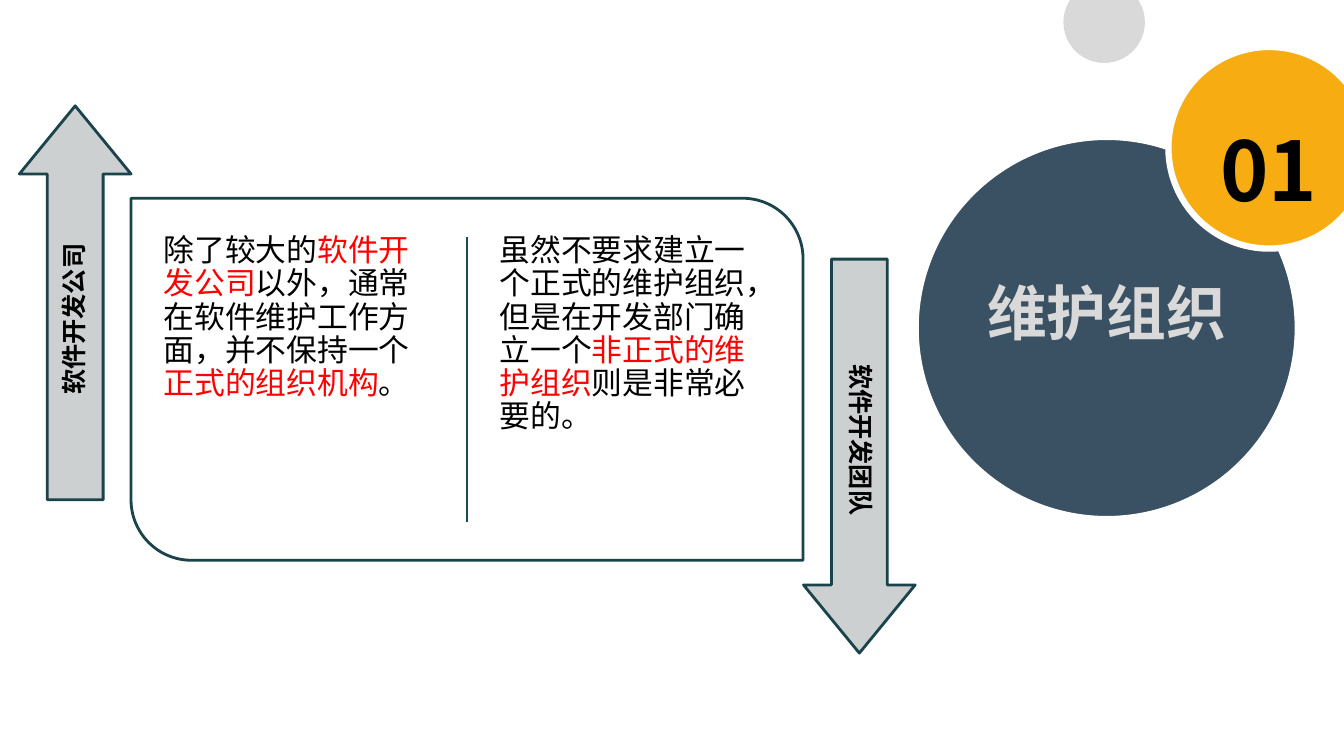
from dataclasses import dataclass

from lxml import etree
from pptx import Presentation
from pptx.dml.color import RGBColor
from pptx.enum.shapes import MSO_CONNECTOR, MSO_SHAPE
from pptx.enum.text import MSO_ANCHOR, MSO_AUTO_SIZE, PP_ALIGN
from pptx.oxml.ns import qn
from pptx.util import Inches, Pt

OVAL, ARROW = MSO_SHAPE.OVAL, MSO_SHAPE.RIGHT_ARROW
CARD = MSO_SHAPE.ROUND_2_DIAG_RECTANGLE
STRAIGHT = MSO_CONNECTOR.STRAIGHT
TOP, MIDDLE = MSO_ANCHOR.TOP, MSO_ANCHOR.MIDDLE
LEFT, CENTER = PP_ALIGN.LEFT, PP_ALIGN.CENTER
NO_FIT = MSO_AUTO_SIZE.NONE

FONT = "Noto Sans CJK SC"
COLORS = {
    "white": "FFFFFF", "black": "000000", "red": "FF0000",
    "light_gray": "D9D9D9", "arrow_gray": "CDD0D1",
    "navy": "3A5063", "amber": "F7AC12",
    "outline": "1A434B", "divider": "1D4A53",
}

# The slide is a grid of 160 columns by 90 rows of square cells
WIDTH, HEIGHT = Inches(13.333), Inches(7.5)
COLUMN, ROW = WIDTH / 160, HEIGHT / 90


@dataclass
class Box:
    column: float
    row: float
    columns: float
    rows: float

    def lengths(self) -> list[int]:
        return [round(self.column * COLUMN), round(self.row * ROW),
                round(self.columns * COLUMN), round(self.rows * ROW)]


@dataclass
class Circle:
    column: float
    row: float
    diameter: float
    fill: str
    line: str = ""


@dataclass
class Arrow:
    text: str
    column: float  # centre
    row: float  # centre
    rotation: int
    label_shift: float  # rows from the arrow's centre to the label's


@dataclass
class TextStyle:
    size: float
    bold: bool = False
    alignment: PP_ALIGN = LEFT
    anchor: MSO_ANCHOR = TOP
    spacing: float = 1.0
    margin: float = 0.07


Runs = list[tuple[str, str]]

CIRCLES = [
    Circle(126.6, -2.2, 9.7, "light_gray"),
    Circle(109, 16.3, 45.5, "navy", "white"),
    Circle(139.1, 5.6, 24, "amber", "white"),
]
ARROWS = [
    Arrow("软件开发公司", 8.95, 36.05, 270, 1.95),
    Arrow("软件开发团队", 102.3, 54.3, 90, -1.95),
]
PANELS: list[Runs] = [
    [("除了较大的", "black"), ("软件开发公司", "red"),
     ("以外，通常在软件维护工作方面，并不保持一个", "black"),
     ("正式的组织机构", "red"), ("。", "black")],
    [("虽然不要求建立一个正式的维护组织，但是在开发部门确立一个", "black"),
     ("非正式的维护组织", "red"), ("则是非常必要的。", "black")],
]
CARD_BOX = Box(15.6, 23.6, 80, 43.1)
TITLE_BOX = Box(109, 32, 45.5, 10.2)
NUMBER_BOX = Box(144.7, 9.4, 12.7, 16.6)

TITLE_STYLE = TextStyle(42.7, True, CENTER)
NUMBER_STYLE = TextStyle(58.7, True, CENTER, MIDDLE, 1.4, 0)
PANEL_STYLE = TextStyle(22, spacing=0.9, margin=0.09)
LABEL_STYLE = TextStyle(18, True, CENTER, MIDDLE, 0.9)


def color(name: str) -> RGBColor:
    return RGBColor.from_string(COLORS[name])


def set_values(target, values: dict) -> None:
    for name, value in values.items():
        setattr(target, name, value)


def place(shape, box: Box) -> None:
    set_values(shape, dict(zip(("left", "top", "width", "height"), box.lengths())))


def centred(column: float, row: float, columns: float, rows: float) -> Box:
    return Box(column - columns / 2, row - rows / 2, columns, rows)


def add_shape(slide, kind, box: Box, fill: str, line: str = "", weight: float = 2):
    shape = slide.shapes.add_shape(kind, *box.lengths())
    shape.shadow.inherit = False
    shape.fill.solid()
    shape.fill.fore_color.rgb = color(fill)
    if line:
        shape.line.color.rgb = color(line)
        shape.line.width = Pt(weight)
    else:
        shape.line.fill.background()
    return shape


def write(shape, runs: Runs, style: TextStyle) -> None:
    frame = shape.text_frame
    margin = Inches(style.margin)
    set_values(frame, {
        "word_wrap": True, "auto_size": NO_FIT, "vertical_anchor": style.anchor,
        "margin_left": margin, "margin_right": margin,
        "margin_top": margin, "margin_bottom": margin,
    })
    paragraph = frame.paragraphs[0]
    set_values(paragraph, {"alignment": style.alignment, "line_spacing": style.spacing})
    for text, color_name in runs:
        run = paragraph.add_run()
        run.text = text
        set_values(run.font, {"name": FONT, "size": Pt(style.size), "bold": style.bold})
        run.font.color.rgb = color(color_name)
        # East Asian typeface
        properties = run._r.get_or_add_rPr()
        etree.SubElement(properties, qn("a:ea")).set("typeface", FONT)


def add_text(slide, box: Box, runs: Runs, style: TextStyle):
    text_box = slide.shapes.add_textbox(*box.lengths())
    write(text_box, runs, style)
    return text_box


def add_divider(slide, column: float, first_row: float, last_row: float) -> None:
    x = round(column * COLUMN)
    divider = slide.shapes.add_connector(
        STRAIGHT, x, round(first_row * ROW), x, round(last_row * ROW))
    divider.line.color.rgb = color("divider")
    divider.line.width = Pt(2)
    etree.SubElement(divider.element.spPr, qn("a:effectLst"))


def add_arrow(slide, arrow: Arrow) -> None:
    shape = add_shape(slide, ARROW, centred(arrow.column, arrow.row, 46.9, 13.3),
                      "arrow_gray", "outline")
    shape.adjustments[0], shape.adjustments[1] = 0.5, 0.61
    label = add_text(slide, centred(arrow.column, arrow.row + arrow.label_shift, 43, 6.6),
                     [(arrow.text, "black")], LABEL_STYLE)
    for part in (shape, label):
        part.rotation = arrow.rotation


def main() -> None:
    presentation = Presentation()
    set_values(presentation, {"slide_width": WIDTH, "slide_height": HEIGHT})
    slide = presentation.slides.add_slide(presentation.slide_layouts.get_by_name("Title Only"))

    # Circles with the title and the section number
    for circle in CIRCLES:
        box = Box(circle.column, circle.row, circle.diameter, circle.diameter)
        add_shape(slide, OVAL, box, circle.fill, circle.line, 4.5)
    title = slide.shapes.title
    place(title, TITLE_BOX)
    write(title, [("维护组织", "light_gray")], TITLE_STYLE)
    title.element.getparent().append(title.element)  # in front of the circles
    add_text(slide, NUMBER_BOX, [("01", "black")], NUMBER_STYLE)

    # Card in two halves
    card = add_shape(slide, CARD, CARD_BOX, "white", "outline")
    card.adjustments[0], card.adjustments[1] = 0, 0.167
    half = CARD_BOX.columns / 2
    add_divider(slide, CARD_BOX.column + half, 28.2, 62.2)
    for index, runs in enumerate(PANELS):
        add_text(slide, Box(18.4 + index * half, 26.9, 34.7, 36.5), runs, PANEL_STYLE)

    # Arrows on both sides of the card
    for arrow in ARROWS:
        add_arrow(slide, arrow)

    presentation.save("out.pptx")


if __name__ == "__main__":
    main()
